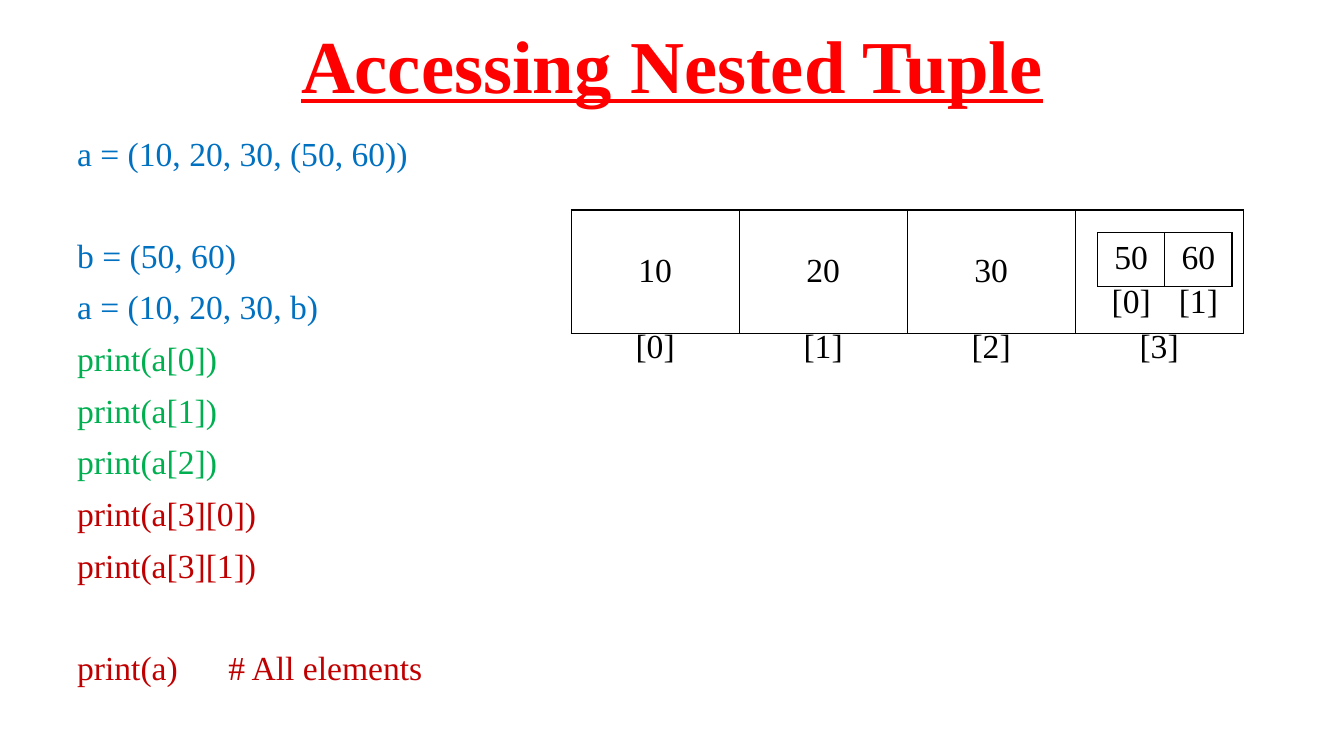
from pptx import Presentation
from pptx.util import Pt
from pptx.dml.color import RGBColor
from pptx.enum.text import MSO_ANCHOR, PP_ALIGN
from pptx.oxml.ns import qn
from lxml.etree import SubElement

FONT = "Times New Roman"
PLAIN = "{2D5ABB26-0587-4C30-8999-92F81FD0307C}"
COLORS = {"red": "FF0000", "blue": "0070C0", "green": "00B050",
          "dark": "C00000", "black": "000000"}
TITLE = "Accessing Nested Tuple"
GAP, PITCH = 11, 36
CODE = [
    ("a = (10, 20, 30, (50, 60))", "blue", 0),
    ("b = (50, 60)", "blue", 1),
    ("a = (10, 20, 30, b)", "blue", 0),
    ("print(a[0])", "green", 0),
    ("print(a[1])", "green", 0),
    ("print(a[2])", "green", 0),
    ("print(a[3][0])", "dark", 0),
    ("print(a[3][1])", "dark", 0),
    ("print(a)\t\t# All elements", "dark", 1),
]
OUTER = (408, 480)
INNER = (784, 96)
GRIDS = [
    (["10", "20", "30", ""], OUTER, 150, 88, True),
    (["50", "60"], INNER, 166.3, 38, True),
    (["[0]", "[1]", "[2]", "[3]"], OUTER, 229.7, 40, False),
    (["[0]", "[1]"], INNER, 198, 38, False),
]


def write(para, text, color, size=24):
    run = para.add_run()
    run.text = text
    run.font.name = FONT
    run.font.size = Pt(size)
    run.font.color.rgb = RGBColor.from_string(COLORS[color])
    return run


def add_box(slide, top, high, anchor):
    frame = slide.shapes.add_textbox(Pt(48), Pt(top), Pt(864), Pt(high)).text_frame
    frame.word_wrap = True
    frame.vertical_anchor = anchor
    return frame


def add_edges(cell):
    props = cell._tc.get_or_add_tcPr()
    for spot, side in enumerate(("lnL", "lnR", "lnT", "lnB")):
        line = props.makeelement(qn("a:" + side), {"w": str(Pt(1))})
        fill = SubElement(line, qn("a:solidFill"))
        SubElement(fill, qn("a:srgbClr"), val=COLORS["black"])
        props.insert(spot, line)


def add_grid(slide, words, span, top, high, lined):
    left, wide = span
    table = slide.shapes.add_table(1, len(words), Pt(left), Pt(top),
                                   Pt(wide), Pt(high)).table
    table.first_row = table.horz_banding = False
    table._tbl.tblPr.find(qn("a:tableStyleId")).text = PLAIN
    for cell, word in zip(table.iter_cells(), words):
        cell.fill.background()
        cell.margin_left = cell.margin_right = Pt(9.6)
        cell.margin_top = cell.margin_bottom = Pt(4.8)
        cell.vertical_anchor = MSO_ANCHOR.MIDDLE if high > 80 else MSO_ANCHOR.TOP
        if lined:
            add_edges(cell)
        if word:
            para = cell.text_frame.paragraphs[0]
            para.alignment = PP_ALIGN.CENTER
            write(para, word, "black")


def main():
    """Build the slide on reading nested tuples."""
    deck = Presentation()
    deck.slide_width, deck.slide_height = Pt(960), Pt(540)
    slide = deck.slides.add_slide(deck.slide_layouts[6])

    para = add_box(slide, 4.3, 90, MSO_ANCHOR.MIDDLE).paragraphs[0]
    para.alignment = PP_ALIGN.CENTER
    para.line_spacing = 0.9
    run = write(para, TITLE, "red", 53.3)
    run.font.bold = run.font.underline = True

    frame = add_box(slide, 94.3, 400, MSO_ANCHOR.TOP)
    for spot, (text, color, skip) in enumerate(CODE):
        para = frame.add_paragraph() if spot else frame.paragraphs[0]
        para.line_spacing = 0.9
        para.space_before = Pt(GAP + skip * PITCH if spot else 0)
        write(para, text, color)

    for grid in GRIDS:
        add_grid(slide, *grid)
    deck.save("out.pptx")


if __name__ == "__main__":
    main()
